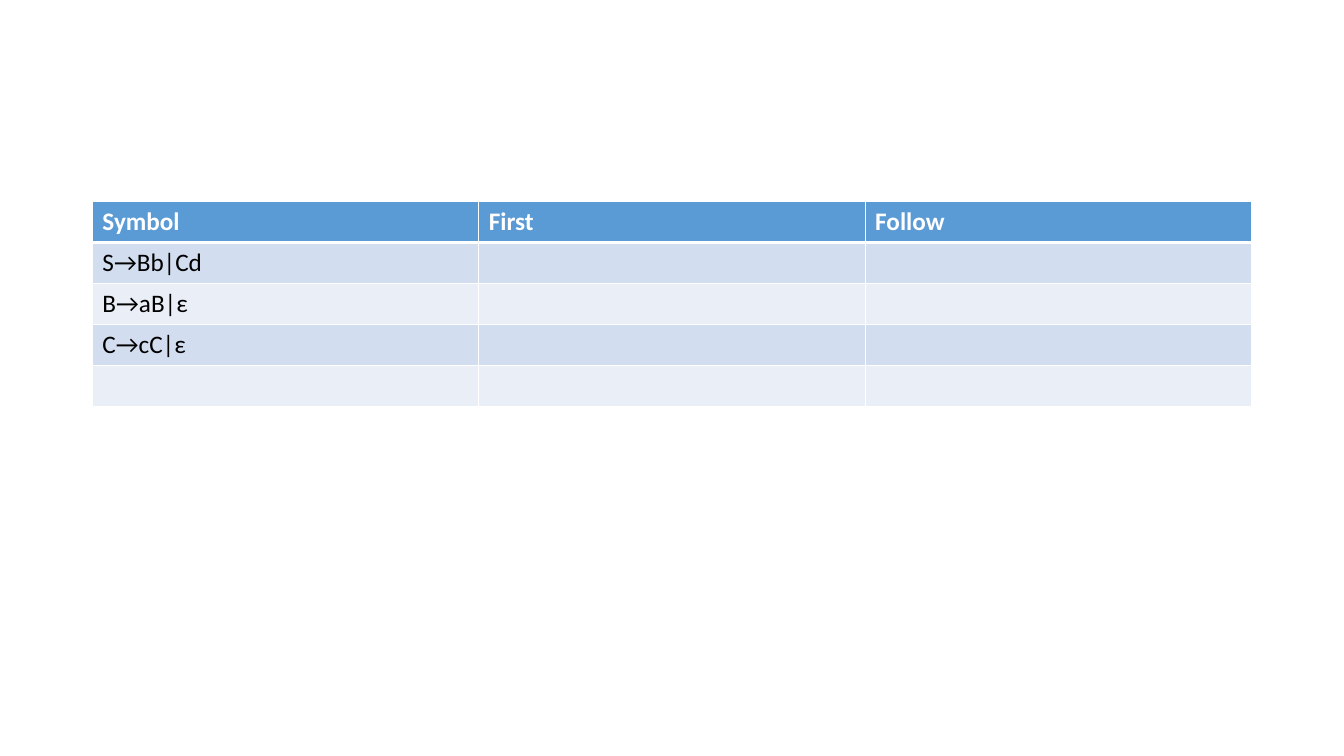
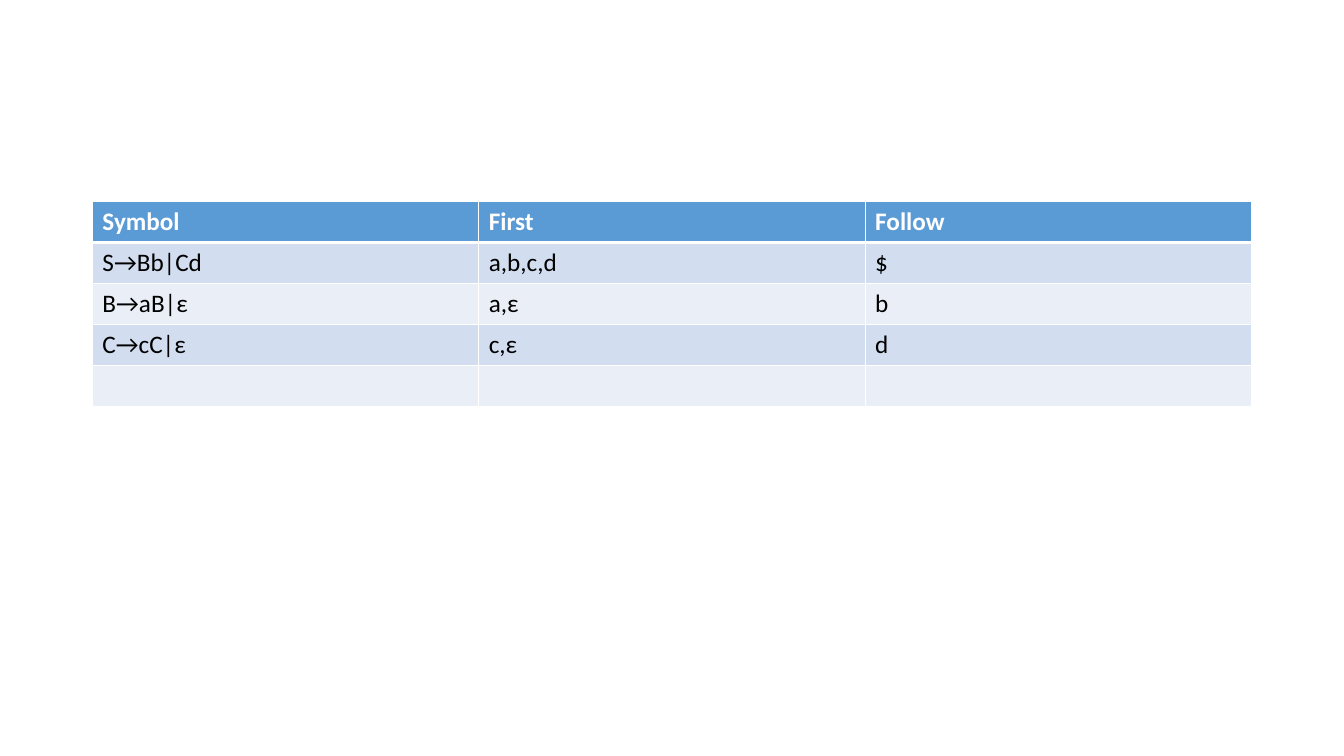
from lxml import etree
from pptx import Presentation
from pptx import util as u
from pptx.dml.color import RGBColor
from pptx.oxml import ns

PX = 9525
HUES = {"head": "5B9BD5", "odd": "D2DEEF", "even": "EAEFF7",
        "white": "FFFFFF", "black": "000000"}
HEADS = ["Symbol", "First", "Follow"]
RULES = ["S→Bb|Cd", "B→aB|ε", "C→cC|ε"]
SETS = [("a,b,c,d", "$"), ("a,ε", "b"), ("c,ε", "d")]


def px(n):
    return u.Emu(n * PX)


class Deck:
    font, size = "Calibri", 18

    def __init__(self):
        self.prs = Presentation()
        self.prs.slide_width, self.prs.slide_height = px(1280), px(720)
        self.slide = None

    def page(self):
        self.slide = self.prs.slides.add_slide(self.prs.slide_layouts[6])

    def edge(self, cell, side, width):
        """Draw one white border of a cell, width in points."""
        props = cell._tc.get_or_add_tcPr()
        line = etree.SubElement(props, ns.qn("a:ln" + side), w=str(u.Pt(width)))
        fill = etree.SubElement(line, ns.qn("a:solidFill"))
        etree.SubElement(fill, ns.qn("a:srgbClr"), val=HUES["white"])

    def cell(self, cell, words, row):
        for side in "LRTB":
            thick = (row, side) in ((0, "B"), (1, "T"))
            self.edge(cell, side, 3 if thick else 1)
        band = "head" if row == 0 else "odd" if row % 2 else "even"
        cell.fill.solid()
        cell.fill.fore_color.rgb = RGBColor.from_string(HUES[band])
        if words:
            run = cell.text_frame.paragraphs[0].add_run()
            run.text = words
            font = run.font
            font.name, font.size, font.bold = self.font, u.Pt(self.size), row == 0
            ink = "black" if row else "white"
            font.color.rgb = RGBColor.from_string(HUES[ink])

    def table(self, left, top, width, high, rows):
        """Add a banded table with equal columns; high is the row height."""
        cols = len(rows[0])
        frame = self.slide.shapes.add_table(
            len(rows), cols, px(left), px(top), px(width), px(high * len(rows)))
        grid = frame.table
        grid.first_row = grid.horz_banding = False
        for r, row in enumerate(rows):
            for c, words in enumerate(row):
                self.cell(grid.cell(r, c), words, r)


def main():
    deck = Deck()
    blank = [("", "")] * len(RULES)
    for sets in (blank, SETS):
        deck.page()
        body = [[rule, *pair] for rule, pair in zip(RULES, sets)]
        deck.table(88, 192, 1104, 39, [HEADS, *body, [""] * len(HEADS)])
    deck.prs.save("out.pptx")


if __name__ == "__main__":
    main()
